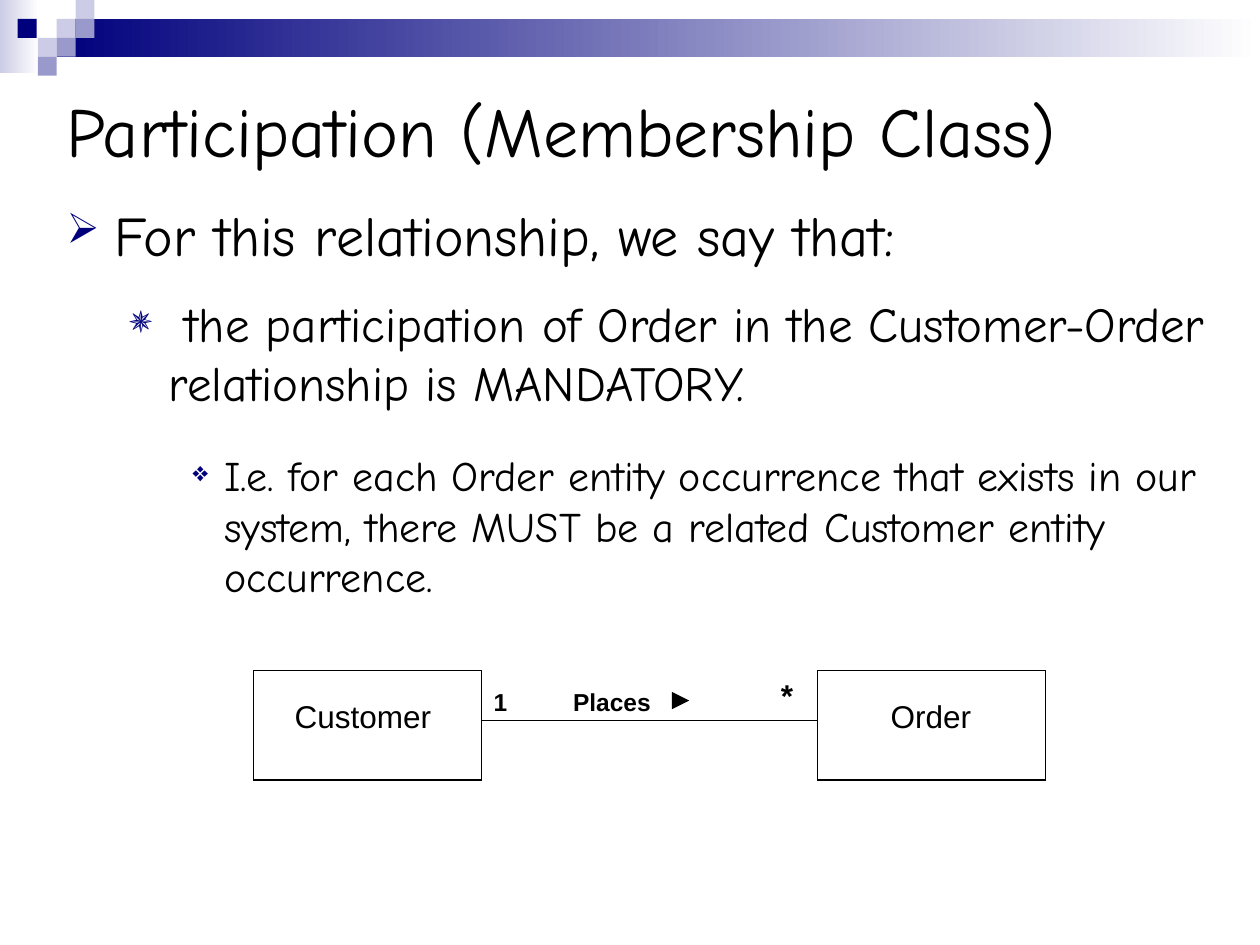
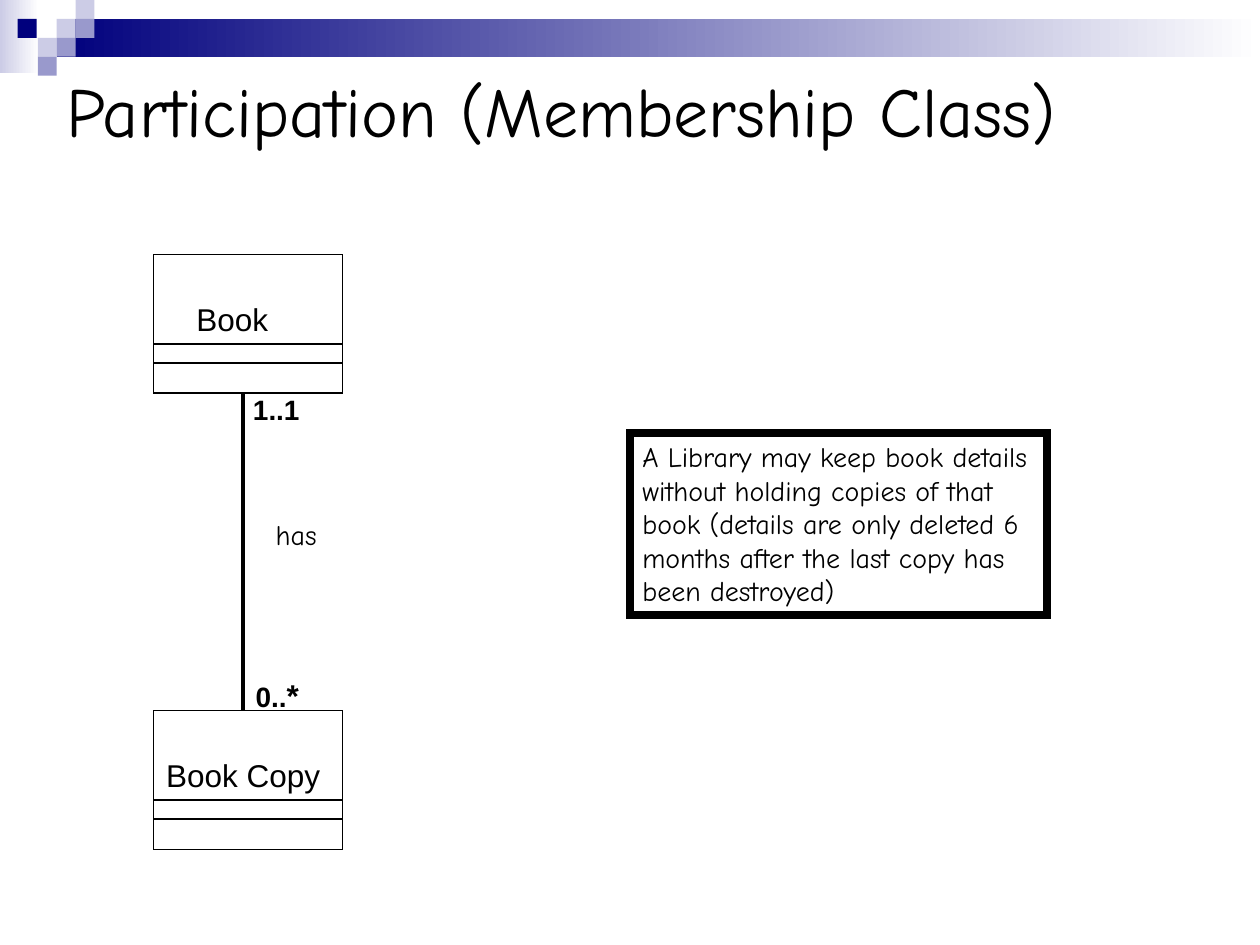
from lxml import etree
from pptx import Presentation
from pptx.dml.color import RGBColor
from pptx.enum.shapes import MSO_CONNECTOR, MSO_SHAPE
from pptx.enum.text import MSO_ANCHOR, PP_ALIGN
from pptx.oxml.ns import qn
from pptx.util import Inches, Pt

RECTANGLE = MSO_SHAPE.RECTANGLE
STRAIGHT = MSO_CONNECTOR.STRAIGHT
MIDDLE = MSO_ANCHOR.MIDDLE
TOP = MSO_ANCHOR.TOP
LEFT = PP_ALIGN.LEFT

BLACK = RGBColor(0x00, 0x00, 0x00)
WHITE = RGBColor(0xFF, 0xFF, 0xFF)
NAVY = RGBColor(0x00, 0x00, 0x7D)
LILAC = RGBColor(0x99, 0x99, 0xCC)
PALE_LILAC = RGBColor(0xCC, 0xCC, 0xE6)

HAND_FONT = "Comic Neue"
LABEL_FONT = "Arial"
TITLE_ONLY = 5
TITLE = "Participation (Membership Class)"
THIN = 0.75

TILE = 0.15
TILES = [
    (0.45, 0.15, PALE_LILAC), (0.6, 0, PALE_LILAC), (0.6, 0.15, LILAC),
    (0.3, 0.3, PALE_LILAC), (0.14, 0.15, NAVY), (0.45, 0.3, LILAC),
    (0.3, 0.45, LILAC),
]

# text, size, left margin, hanging indent, space before, space after, bullet, bullet %
POINTS = [
    ("For this relationship, we say that:",
     32, 0.38, 0.38, 0, 8, "➢", 75),
    (" the participation of Order in the Customer-Order relationship is MANDATORY.",
     28, 0.81, 0.31, 7, 7, "✵", 80),
    ("I.e. for each Order entity occurrence that exists in our system, "
     "there MUST be a related Customer entity occurrence.",
     24, 1.25, 0.25, 15, 6, "❖", 65),
]
NOTE = ("A Library may keep book details without holding copies of that book "
        "(details are only deleted 6 months after the last copy has been destroyed)")


def add_run(paragraph, text, size, font=LABEL_FONT, bold=False):
    run = paragraph.add_run()
    run.text = text
    run.font.name = font
    run.font.size = Pt(size)
    run.font.bold = bold
    run.font.color.rgb = BLACK


def add_rectangle(slide, left, top, width, height):
    shape = slide.shapes.add_shape(
        RECTANGLE, Inches(left), Inches(top), Inches(width), Inches(height))
    shape.shadow.inherit = False
    return shape


def add_tile(slide, left, top, color):
    tile = add_rectangle(slide, left, top, TILE, TILE)
    tile.fill.solid()
    tile.fill.fore_color.rgb = color
    tile.line.fill.background()


def add_fading_band(slide, left, top, width, height, color):
    """Draw a band that fades from the colour to white, left to right."""
    band = add_rectangle(slide, left, top, width, height)
    band.fill.gradient()
    band.fill.gradient_angle = 0
    for stop, position, stop_color in zip(band.fill.gradient_stops, (0, 1), (color, WHITE)):
        stop.position = position
        stop.color.rgb = stop_color
    band.line.fill.background()


def add_outline(slide, left, top, width, height, weight=THIN):
    """Add an unfilled box with square corners."""
    box = add_rectangle(slide, left, top, width, height)
    box.fill.background()
    box.line.color.rgb = BLACK
    box.line.width = Pt(weight)
    etree.SubElement(box.line._get_or_add_ln(), qn("a:miter"), lim="800000")
    return box


def add_line(slide, start, end, weight=THIN):
    line = slide.shapes.add_connector(
        STRAIGHT, *(Inches(value) for value in (*start, *end)))
    line.line.color.rgb = BLACK
    line.line.width = Pt(weight)
    etree.SubElement(line.element.spPr, qn("a:effectLst"))
    return line


def add_arrowhead(line):
    etree.SubElement(line.line._get_or_add_ln(), qn("a:tailEnd"),
                     type="triangle", w="lg", len="lg")


def add_label(slide, left, top, width, height, *runs, font=LABEL_FONT, bold=False):
    """Add a one-line label; each run is a (text, size) pair."""
    label = slide.shapes.add_textbox(
        Inches(left), Inches(top), Inches(width), Inches(height))
    label.text_frame.word_wrap = True
    for text, size in runs:
        add_run(label.text_frame.paragraphs[0], text, size, font, bold)


def set_bullet(paragraph, character, percent, margin, hanging):
    properties = paragraph._p.get_or_add_pPr()
    properties.set("marL", str(Inches(margin)))
    properties.set("indent", str(-Inches(hanging)))
    color = etree.SubElement(properties, qn("a:buClr"))
    etree.SubElement(color, qn("a:srgbClr"), val=str(NAVY))
    etree.SubElement(properties, qn("a:buSzPct"), val=str(percent * 1000))
    etree.SubElement(properties, qn("a:buChar"), char=character)


def add_titled_slide(presentation, title_top):
    slide = presentation.slides.add_slide(presentation.slide_layouts[TITLE_ONLY])
    add_fading_band(slide, 0, 0, 0.31, 0.58, PALE_LILAC)
    add_fading_band(slide, 0.45, 0.15, 9.55, 0.3, NAVY)
    for left, top, color in TILES:
        add_tile(slide, left, top, color)

    title = slide.shapes.title
    title.left, title.top = Inches(0.43), Inches(title_top)
    title.width, title.height = Inches(9.23), Inches(1.02)
    title.text_frame.vertical_anchor = MIDDLE
    paragraph = title.text_frame.paragraphs[0]
    paragraph.alignment = LEFT
    add_run(paragraph, TITLE, 40, HAND_FONT)
    return slide


def add_points(slide, left, top, width, height):
    box = slide.shapes.add_textbox(
        Inches(left), Inches(top), Inches(width), Inches(height))
    frame = box.text_frame
    frame.word_wrap = True
    for level, point in enumerate(POINTS):
        text, size, margin, hanging, before, after, character, percent = point
        paragraph = frame.add_paragraph() if level else frame.paragraphs[0]
        paragraph.level = level
        set_bullet(paragraph, character, percent, margin, hanging)
        paragraph.space_before = Pt(before)
        paragraph.space_after = Pt(after)
        add_run(paragraph, text, size, HAND_FONT)


def add_order_diagram(slide, left, top):
    """Draw Customer places Order, with the multiplicities over the line."""
    width, height, order_left = 1.81, 0.87, left + 4.48
    line_top = top + 0.4
    for box_left, name, inset in ((left, "Customer", 0.23), (order_left, "Order", 0.48)):
        add_outline(slide, box_left, top, width, height)
        add_label(slide, box_left + inset, top + 0.16, 2.05, 0.4, (name, 18))
    add_line(slide, (left + width, line_top), (order_left, line_top))
    add_label(slide, left + width, top + 0.08, 0.63, 0.34, ("1", 14), bold=True)
    add_label(slide, left + 2.44, top + 0.08, 0.87, 0.34, ("Places", 14), bold=True)
    add_label(slide, left + 4.09, top, 0.63, 0.4, ("*", 18), bold=True)
    arrow_top = top + 0.24
    add_arrowhead(add_line(slide, (left + 3.38, arrow_top), (left + 3.46, arrow_top)))


def add_entity(slide, left, top, width, height, name, name_inset):
    """Draw an entity box with a name and two empty compartments."""
    add_outline(slide, left, top, width, height)
    for offset in (0.71, 0.86):
        add_line(slide, (left, top + offset), (left + width, top + offset))
    add_label(slide, left + name_inset, top + 0.31, 1.5, 0.4, (name, 18))


def add_book_diagram(slide, left, top):
    """Draw Book has Book Copy, one entity above the other."""
    width, height, copy_top = 1.5, 1.1, top + 3.62
    line_left = left + 0.71
    add_entity(slide, left, top, width, height, "Book", 0.24)
    add_entity(slide, left, copy_top, width, height, "Book Copy", 0)
    add_line(slide, (line_left, top + height), (line_left, copy_top), 2.25)
    add_label(slide, left + 0.69, top + 1.05, 0.8, 0.37, ("1..1", 16), bold=True)
    add_label(slide, left + 0.87, top + 2.04, 0.63, 0.37, ("has", 16), font=HAND_FONT)
    add_label(slide, line_left, copy_top - 0.32, 0.8, 0.4, ("0..", 16), ("*", 18), bold=True)


def add_note(slide, left, top, width, height):
    note = add_outline(slide, left, top, width, height, 4.5)
    frame = note.text_frame
    frame.word_wrap = True
    frame.vertical_anchor = TOP
    paragraph = frame.paragraphs[0]
    paragraph.alignment = LEFT
    add_run(paragraph, NOTE, 16, HAND_FONT)


def main():
    presentation = Presentation()
    presentation.slide_width, presentation.slide_height = Inches(10), Inches(7.5)

    order_slide = add_titled_slide(presentation, 0.52)
    add_points(order_slide, 0.43, 1.54, 9.29, 3.46)
    add_order_diagram(order_slide, 2.01, 5.32)

    book_slide = add_titled_slide(presentation, 0.36)
    add_book_diagram(book_slide, 1.22, 2.02)
    add_note(book_slide, 5, 3.44, 3.31, 1.44)

    presentation.save("out.pptx")


if __name__ == "__main__":
    main()
